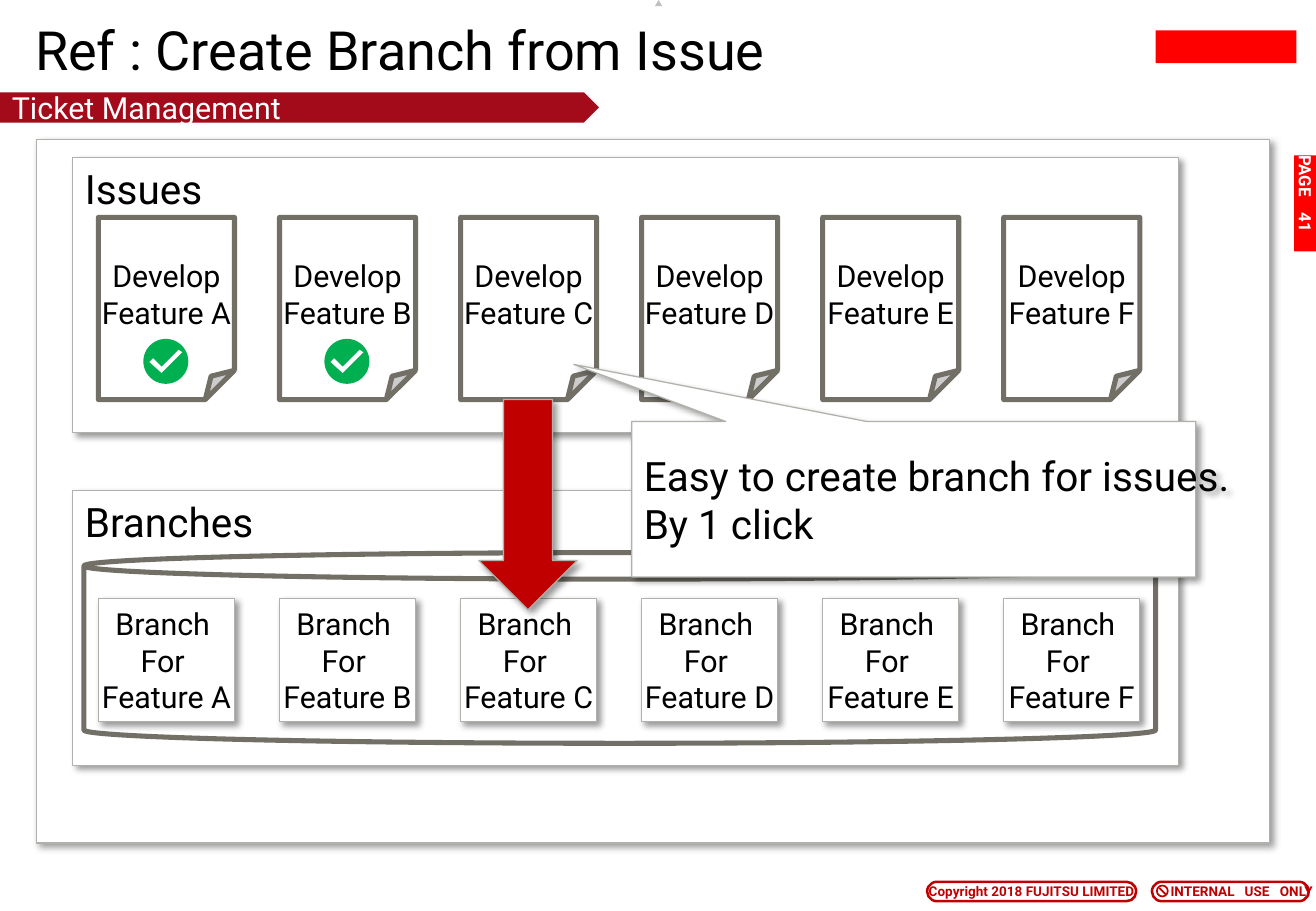
from lxml import etree
from pptx import Presentation
from pptx.dml.color import RGBColor
from pptx.enum import shapes, text
from pptx.oxml import ns
from pptx import util as u

PX = 9144  # EMU per px, 100 px to the inch
FONT = "Roboto"
INK = {"white": "FFFFFF", "black": "000000", "red": "FF0000", "deep": "C00000",
       "band": "A30B1A", "edge": "B1B1AC", "stone": "726F66",
       "done": "00B050", "tip": "C0C0C0"}
G = shapes.MSO_SHAPE
LEFT, MID = text.PP_ALIGN.LEFT, text.PP_ALIGN.CENTER
ANCHOR = text.MSO_ANCHOR

deck = Presentation()
deck.slide_width, deck.slide_height = 1083 * PX, 750 * PX
slide = deck.slides.add_slide(deck.slide_layouts[6])
parts = slide.shapes


def tint(name):
    return RGBColor.from_string(INK[name])


def cast(shape):
    """Give a shape its soft drop shadow."""
    holder = shape._element.spPr.find(ns.qn("a:effectLst"))
    shade = etree.SubElement(holder, ns.qn("a:outerShdw"), blurRad="50800",
                             dist="38100", dir="2700000", algn="tl", rotWithShape="0")
    hue = etree.SubElement(shade, ns.qn("a:srgbClr"), val=INK["black"])
    etree.SubElement(hue, ns.qn("a:alpha"), val="40000")


def bend(shape, adj):
    """Set the adjust values; a lone one is named adj, others adj1, adj2."""
    guides = shape._element.spPr.find(f".//{ns.qn('a:avLst')}")
    for guide in list(guides):
        guides.remove(guide)
    for i, value in enumerate(adj, 1):
        etree.SubElement(guides, ns.qn("a:gd"), name=f"adj{i}" if len(adj) > 1 else "adj",
                         fmla=f"val {round(value * 100000)}")


def paint(shape, fill, line=None, width=0.75):
    shape.shadow.inherit = False
    shape.fill.solid()
    shape.fill.fore_color.rgb = tint(fill)
    if line:
        shape.line.color.rgb = tint(line)
        shape.line.width = u.Pt(width)
    else:
        shape.line.fill.background()
    return shape


def block(kind, box, fill, line=None, width=0.75, adj=(), soft=False):
    shape = paint(parts.add_shape(kind, *(v * PX for v in box)), fill, line, width)
    if adj:
        bend(shape, adj)
    if soft:
        cast(shape)
    return shape


def write(shape, lines, size, ink="black", align=LEFT, anchor=ANCHOR.MIDDLE,
          bold=False, wrap=False, inset=10, tabs=()):
    frame = shape.text_frame
    frame.word_wrap, frame.vertical_anchor = wrap, anchor
    frame.margin_left = frame.margin_right = inset * PX
    frame.margin_top = frame.margin_bottom = min(inset, 5) * PX
    frame.text = "\n".join(lines)
    for para in frame.paragraphs:
        if tabs:
            stops = etree.SubElement(para._p.get_or_add_pPr(), ns.qn("a:tabLst"))
            for stop in tabs:
                etree.SubElement(stops, ns.qn("a:tab"), pos=str(stop * PX), algn="l")
        para.alignment = align
        font = para.font
        font.name, font.size, font.bold = FONT, u.Pt(size), bold
        font.color.rgb = tint(ink)


def head(x, y, w, h):
    # Title, section band, logo block and top marker
    title = parts.add_textbox((x + 19) * PX, (y + 19) * PX, 917 * PX, 43 * PX)
    write(title, ["Ref : Create Branch from Issue"], 32, wrap=True)
    band = block(G.RIGHT_ARROW, (x, y + h - 25, 493, 25), "band", adj=(1, 0.5))
    write(band, ["Ticket Management"], 18, "white", wrap=True)
    block(G.RECTANGLE, (x + w - 132, y + 25, 116, 27), "red")
    block(G.ISOSCELES_TRIANGLE, (x + w // 2 - 2, y, 6, 5), "tip")


def page(x, y, w, h):
    # Side tab, turned a quarter about its centre
    tab = block(G.RECTANGLE, (x + (w - h) // 2, y + (h - w) // 2, h, w), "red")
    tab.rotation = 90
    write(tab, ["PAGE\t41"], 10, "white", bold=True, inset=0, tabs=(47,))


def foot(x, y, w, h):
    # Copyright and usage pills
    pill = dict(fill="white", line="deep", width=1.5, adj=(0.5,))
    note = block(G.ROUNDED_RECTANGLE, (x, y, 172, h), **pill)
    write(note, ["Copyright 2018 FUJITSU LIMITED"], 8, "deep", MID, bold=True)
    left = x + w - 129
    use = block(G.ROUNDED_RECTANGLE, (left, y, 129, h), **pill)
    write(use, ["INTERNAL\tUSE\tONLY"], 8, "deep", bold=True, inset=13, tabs=(61, 90))
    # No-entry sign
    block(G.OVAL, (left + 4, y + 3, 9, 9), "white", "deep", 1)
    bar = parts.add_connector(shapes.MSO_CONNECTOR.STRAIGHT, (left + 6) * PX,
                              (y + 5) * PX, (left + 12) * PX, (y + 11) * PX)
    bar.line.color.rgb, bar.line.width = tint("deep"), u.Pt(1)
    etree.SubElement(bar._element.spPr, ns.qn("a:effectLst"))


def panel(box, name=None):
    shape = block(G.RECTANGLE, box, "white", "edge", soft=True)
    if name:
        write(shape, [name], 24, anchor=ANCHOR.TOP)


def check(x, y, size):
    # Green disc with a white tick
    block(G.OVAL, (x, y, size, size), "done")
    tick = [(15, 28), (5, 19), (8, 16), (15, 23), (29, 9), (32, 11)]
    (px, py), *rest = [(x + a, y + b) for a, b in tick]
    path = parts.build_freeform(px, py, scale=PX)
    path.add_line_segments(rest, close=True)
    paint(path.convert_to_shape(), "white")


def columns(x):
    return [(x + 21 + 149 * i, letter) for i, letter in enumerate("ABCDEF")]


def issues(x, y, w, h):
    panel((x, y, w, h), "Issues")
    for left, letter in columns(x):
        card = block(G.FOLDED_CORNER, (left, y + 49, 112, 150), "white", "stone", 3,
                     (0.215,))
        write(card, ["Develop", f"Feature {letter}"], 18, align=MID)
        if letter in "AB":
            check(left + 37, y + 149, 37)


def branches(x, y, w, h):
    panel((x, y, w, h), "Branches")
    block(G.CAN, (x + 9, y + 51, w - 28, 157), "white", "stone", 3, (0.139,))
    for left, letter in columns(x):
        card = block(G.RECTANGLE, (left, y + 89, 112, 101), "white", "edge", soft=True)
        write(card, ["Branch ", "For ", f"Feature {letter}"], 18, align=MID)


def link(x, y, w, h):
    # Arrow from issue to branch, and its callout
    block(G.DOWN_ARROW, (x, y, 81, h), "deep", "edge", soft=True)
    call = block(G.RECTANGULAR_CALLOUT, (x + w - 464, y + 18, 464, 128), "white", "edge",
                 adj=(-0.603, -0.867), soft=True)
    write(call, ["Easy to create branch for issues.", "By 1 click"], 24)


foot(763, 726, 314, 16)
panel((30, 115, 1015, 579))
head(0, 0, 1083, 101)
page(1065, 128, 19, 79)
issues(60, 130, 910, 226)
branches(60, 404, 910, 226)
link(394, 329, 590, 173)
deck.save("out.pptx")
